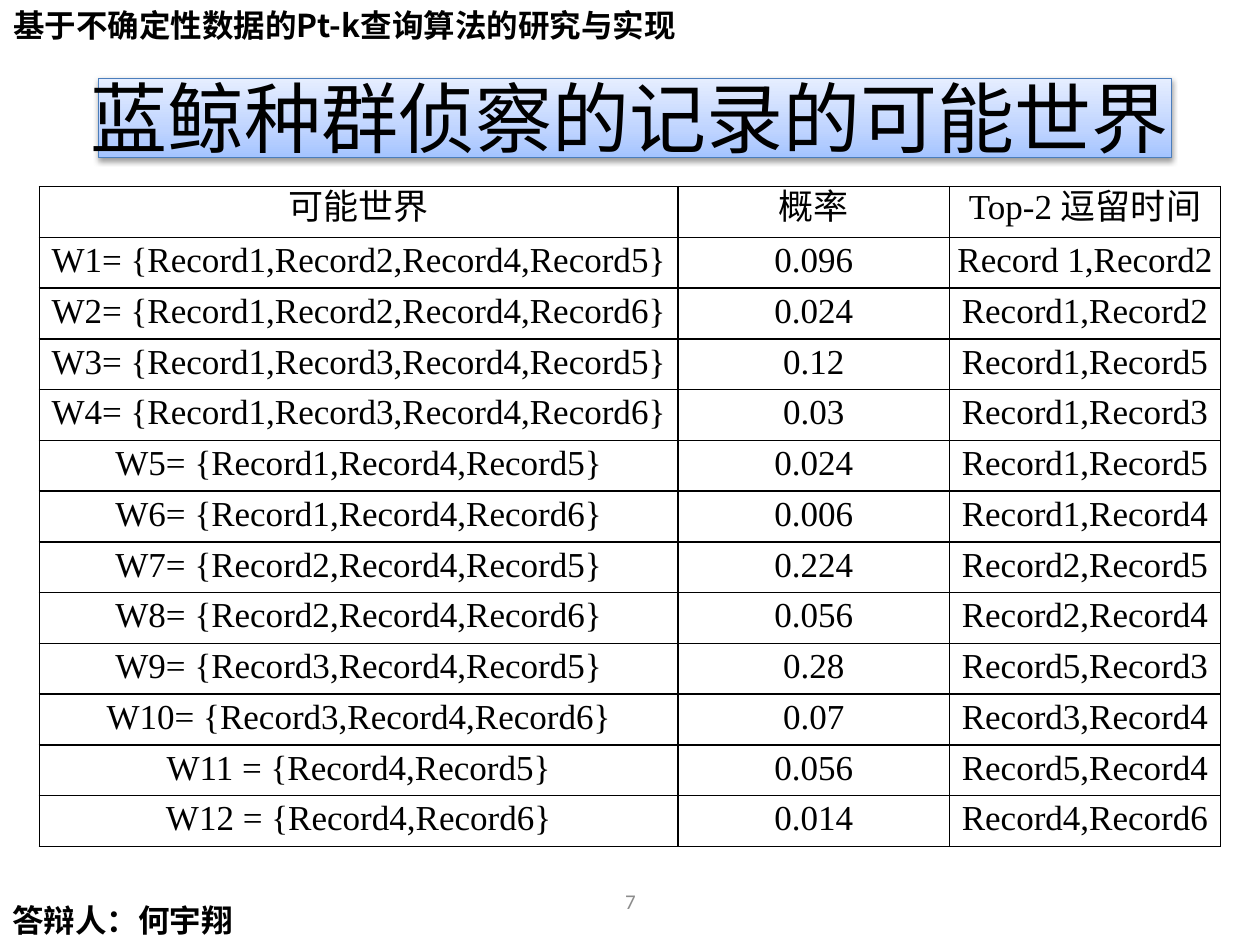
from copy import deepcopy

from pptx import Presentation, oxml
from pptx import util as u
from pptx.dml.color import RGBColor
from pptx.enum import shapes, text
from pptx.oxml import ns

CJK = "Noto Sans CJK JP"
CENTER = text.PP_ALIGN.CENTER
MIDDLE = text.MSO_ANCHOR.MIDDLE


def color(hex_code):
    return RGBColor.from_string(hex_code)


def write(frame, words, size, font, hex_code="000000", bold=False, align=CENTER):
    paragraph = frame.paragraphs[0]
    paragraph.text = words
    paragraph.alignment = align
    paragraph.font.size = u.Pt(size)
    paragraph.font.name = font
    paragraph.font.bold = bold
    paragraph.font.color.rgb = color(hex_code)
    east_asian = oxml.parse_xml(f'<a:ea {ns.nsdecls("a")} typeface="{CJK}"/>')
    paragraph.font._element.find(ns.qn("a:latin")).addnext(east_asian)
    return paragraph


deck = Presentation()
deck.slide_width, deck.slide_height = u.Pt(720), u.Pt(540)
slide = deck.slides.add_slide(deck.slide_layouts[6])

# Gradient band behind the title
band = slide.shapes.add_shape(
    shapes.MSO_SHAPE.RECTANGLE, u.Pt(56.2), u.Pt(44.7), u.Pt(613.4), u.Pt(45.3))
band.line.color.rgb = color("4B7EBC")
band.line.width = u.Pt(0.75)
band.fill.gradient()
band.fill.gradient_angle = 90
stops = band._element.spPr.find(ns.qn("a:gradFill")).find(ns.qn("a:gsLst"))
stops.insert(1, deepcopy(stops[0]))
shades = [(0, "A4C4FF"), (0.35, "BFD4FF"), (1, "E6EEFF")]
for stop, (position, shade) in zip(band.fill.gradient_stops, shades):
    stop.position = position
    stop.color.rgb = color(shade)
band.shadow.inherit = False
band._element.spPr.find(ns.qn("a:effectLst")).append(oxml.parse_xml(
    f'<a:outerShdw {ns.nsdecls("a")} blurRad="{u.Pt(3.1)}" dist="{u.Pt(1.6)}"'
    ' dir="5400000" rotWithShape="0"><a:srgbClr val="000000">'
    '<a:alpha val="38000"/></a:srgbClr></a:outerShdw>'))

# Title, defender, thesis name and page number
captions = [
    ((36, 21.6, 648, 90), "蓝鲸种群侦察的记录的可能世界", 44, CJK, "000000", False, CENTER, MIDDLE, True),
    ((0, 511.2, 141.8, 28.8), "答辩人：何宇翔", 18, CJK, "000000", True,
     text.PP_ALIGN.LEFT, text.MSO_ANCHOR.TOP, False),
    ((0, 0, 393.8, 28.8), "基于不确定性数据的Pt-k查询算法的研究与实现", 18, CJK, "000000", True,
     CENTER, text.MSO_ANCHOR.TOP, True),
    ((246.2, 500.4, 228.2, 28.8), "7", 12, "Calibri", "8C8C8C", False, CENTER, MIDDLE, True),
]
for place, words, size, font, ink, bold, align, anchor, wrap in captions:
    caption = slide.shapes.add_textbox(*map(u.Pt, place)).text_frame
    caption.word_wrap = wrap
    caption.vertical_anchor = anchor
    write(caption, words, size, font, ink, bold, align)

# Possible worlds with their probability and top-2 records
worlds = [
    ("可能世界", "概率", "Top-2 逗留时间"),
    ("W1= {Record1,Record2,Record4,Record5}", "0.096", "Record 1,Record2"),
    ("W2= {Record1,Record2,Record4,Record6}", "0.024", "Record1,Record2"),
    ("W3= {Record1,Record3,Record4,Record5}", "0.12", "Record1,Record5"),
    ("W4= {Record1,Record3,Record4,Record6}", "0.03", "Record1,Record3"),
    ("W5= {Record1,Record4,Record5}", "0.024", "Record1,Record5"),
    ("W6= {Record1,Record4,Record6}", "0.006", "Record1,Record4"),
    ("W7= {Record2,Record4,Record5}", "0.224", "Record2,Record5"),
    ("W8= {Record2,Record4,Record6}", "0.056", "Record2,Record4"),
    ("W9= {Record3,Record4,Record5}", "0.28", "Record5,Record3"),
    ("W10= {Record3,Record4,Record6}", "0.07", "Record3,Record4"),
    ("W11 = {Record4,Record5}", "0.056", "Record5,Record4"),
    ("W12 = {Record4,Record6}", "0.014", "Record4,Record6"),
]
grid = slide.shapes.add_table(
    len(worlds), 3, u.Pt(22.5), u.Pt(106.6), u.Pt(675), u.Pt(29 * len(worlds))).table
grid.first_row = grid.horz_banding = False
for column, width in zip(grid.columns, (365, 155, 155)):
    column.width = u.Pt(width)

for row, world in enumerate(worlds):
    grid.rows[row].height = u.Pt(29)
    for col, words in enumerate(world):
        cell = grid.cell(row, col)
        cell.margin_left = cell.margin_right = u.Pt(3.6)
        cell.margin_top = cell.margin_bottom = 0
        cell.vertical_anchor = MIDDLE
        write(cell.text_frame, words, 20, "Times New Roman").line_spacing = u.Pt(20)
        # Black border on every side
        for side in "LRTB":
            cell._tc.get_or_add_tcPr().append(oxml.parse_xml(
                f'<a:ln{side} {ns.nsdecls("a")} w="{u.Pt(1)}"><a:solidFill>'
                f'<a:srgbClr val="000000"/></a:solidFill></a:ln{side}>'))
        cell.fill.background()

deck.save("out.pptx")
